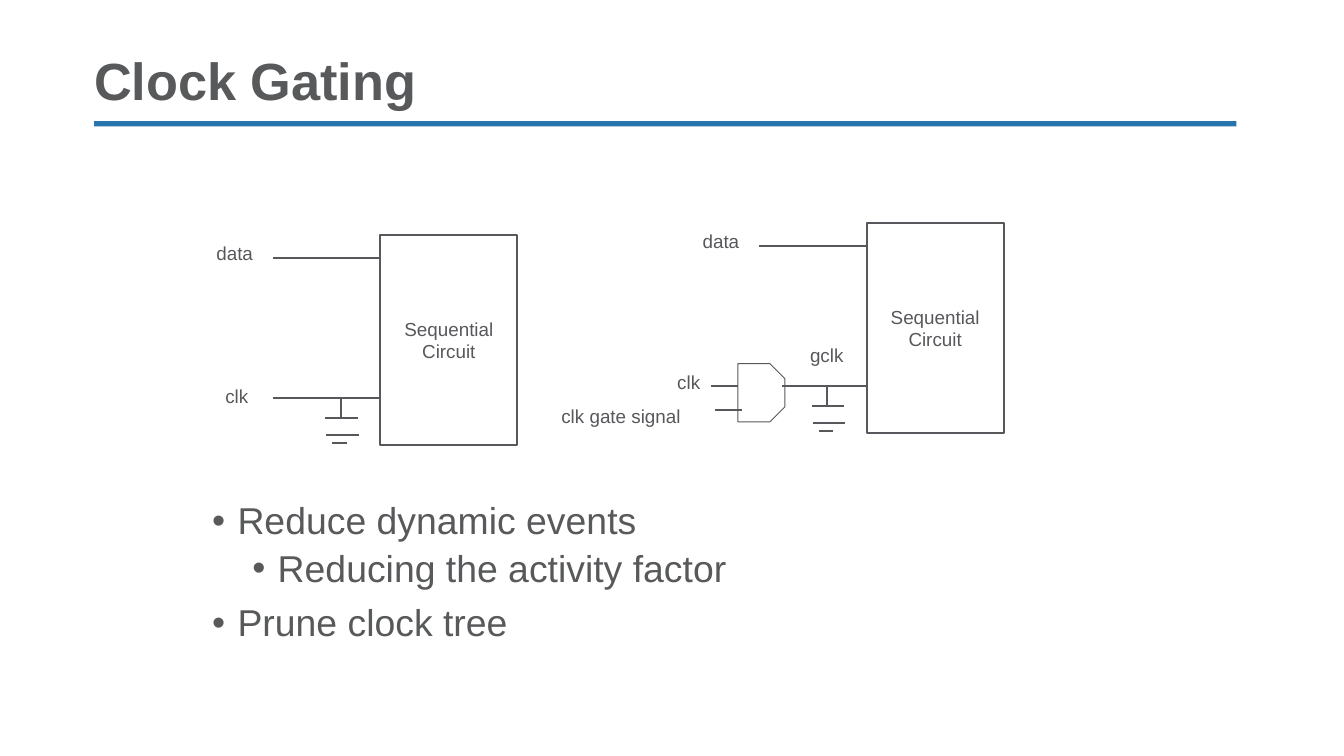
from dataclasses import dataclass

from lxml import etree
from pptx import Presentation
from pptx.dml.color import RGBColor
from pptx.enum.shapes import MSO_CONNECTOR as Link, MSO_SHAPE as Kind
from pptx.enum.text import MSO_ANCHOR as Anchor, PP_ALIGN as Align
from pptx.oxml.ns import qn
from pptx.util import Cm, Pt

GREY, INK, BLUE, WHITE = "58595B", "57585B", "2774AE", "FFFFFF"
SMALL = 10.1


@dataclass
class Wire:
    x1: float
    y1: float
    x2: float
    y2: float


@dataclass
class Label:
    text: str
    x: float
    y: float
    w: float
    wrap: bool = False


@dataclass
class Point:
    text: str
    level: int
    left: float
    before: float


@dataclass
class Block:
    x: float
    y: float
    start: float  # left end of the clock wire, from the block


# Wires shared by both circuits, measured from the block's top left corner
SHARED = [
    Wire(-2.03, 0.43, 0, 0.43),  # data
    Wire(-0.75, 3.45, -0.75, 3.07),  # ground stem
    Wire(-0.43, 3.45, -1.04, 3.45),  # ground bars
    Wire(-0.41, 3.78, -1.02, 3.78),
    Wire(-0.64, 3.92, -0.91, 3.92),
]
BLOCKS = [Block(7.19, 4.45, -2.03), Block(16.38, 4.22, -1.6)]
INPUTS = [Wire(13.44, 7.29, 13.94, 7.29), Wire(13.51, 7.75, 14.02, 7.75)]
LABELS = [
    Label("clk", 4.01, 7.14, 0.97),
    Label("clk", 12.55, 6.88, 0.97),
    Label("clk gate signal", 10.36, 7.52, 3.1, True),
    Label("gclk", 15.06, 6.38, 1.17),
]
POINTS = [
    Point("Reduce dynamic events", 0, 0.48, 0),
    Point("Reducing the activity factor", 1, 1.24, 3.8),
    Point("Prune clock tree", 0, 0.48, 7.5),
]


def color(code: str) -> RGBColor:
    return RGBColor.from_string(code)


def style(frame, size: float, code: str, bold: bool = False) -> None:
    for para in frame.paragraphs:
        for run in para.runs:
            font = run.font
            font.name, font.size, font.bold = "Arial", Pt(size), bold
            font.color.rgb = color(code)


def add_text(slide, x: float, y: float, w: float, h: float, pad: bool = True):
    frame = slide.shapes.add_textbox(Cm(x), Cm(y), Cm(w), Cm(h)).text_frame
    frame.word_wrap = True
    if not pad:
        frame.margin_left = frame.margin_right = 0
        frame.margin_top = frame.margin_bottom = 0
    return frame


def add_shape(slide, kind, x: float, y: float, w: float, h: float):
    shape = slide.shapes.add_shape(kind, Cm(x), Cm(y), Cm(w), Cm(h))
    shape.shadow.inherit = False
    return shape


def outline(shape, width: float) -> None:
    shape.line.color.rgb = color(INK)
    shape.line.width = Pt(width)


def add_wire(slide, wire: Wire, dx: float = 0, dy: float = 0) -> None:
    line = slide.shapes.add_connector(
        Link.STRAIGHT, Cm(wire.x1 + dx), Cm(wire.y1 + dy),
        Cm(wire.x2 + dx), Cm(wire.y2 + dy))
    outline(line, 1)
    etree.SubElement(line._element.spPr, qn("a:effectLst"))


def add_label(slide, label: Label) -> None:
    frame = add_text(slide, label.x, label.y, label.w, 0.69)
    frame.word_wrap = label.wrap
    frame.text = label.text
    style(frame, SMALL, INK)


def add_block(slide, block: Block) -> None:
    box = add_shape(slide, Kind.RECTANGLE, block.x, block.y, 2.59, 3.96)
    box.fill.solid()
    box.fill.fore_color.rgb = color(WHITE)
    outline(box, 1)
    frame = box.text_frame
    frame.text = "Sequential\nCircuit"
    frame.vertical_anchor = Anchor.MIDDLE
    for para in frame.paragraphs:
        para.alignment = Align.CENTER
    style(frame, SMALL, INK)
    for wire in [*SHARED, Wire(block.start, 3.07, 0, 3.07)]:
        add_wire(slide, wire, block.x, block.y)
    add_label(slide, Label("data", block.x - 3.35, block.y, 1.22))


def add_points(slide, points: list[Point]) -> None:
    frame = add_text(slide, 4.01, 9.5, 17.4, 2.74, pad=False)
    for i, point in enumerate(points):
        para = frame.add_paragraph() if i else frame.paragraphs[0]
        para.text = point.text
        para.level = point.level
        props = para._p.get_or_add_pPr()
        props.set("marL", str(Cm(point.left)))
        props.set("indent", str(Cm(-0.48)))
        etree.SubElement(props, qn("a:buFont"), typeface="Arial")
        etree.SubElement(props, qn("a:buChar"), char="•")
        para.line_spacing = 0.9
        para.space_before = Pt(point.before)
    style(frame, 20, GREY)


def main() -> None:
    deck = Presentation()
    deck.slide_width, deck.slide_height = Cm(25.4), Cm(14.29)
    slide = deck.slides.add_slide(deck.slide_layouts[6])

    # Title and rule
    rule = add_shape(slide, Kind.RECTANGLE, 1.78, 2.29, 21.59, 0.1)
    rule.fill.solid()
    rule.fill.fore_color.rgb = color(BLUE)
    rule.line.fill.background()
    title = add_text(slide, 1.78, 1.02, 21.59, 1.09, pad=False)
    title.text = "Clock Gating"
    title.vertical_anchor = Anchor.BOTTOM
    title.paragraphs[0].line_spacing = 0.9
    style(title, 28, GREY, bold=True)

    # Bullets
    add_points(slide, POINTS)

    # Circuits without and with gating
    for block in BLOCKS:
        add_block(slide, block)

    # Clock gate
    gate = add_shape(slide, Kind.SNIP_2_SAME_RECTANGLE, 13.84, 6.98, 1.1, 0.89)
    gate.rotation = 90
    gate.adjustments[0] = 0.32
    gate.adjustments[1] = 0
    gate.fill.background()
    outline(gate, 0.5)
    for wire in INPUTS:
        add_wire(slide, wire)

    # Signal names
    for label in LABELS:
        add_label(slide, label)

    deck.save("out.pptx")


if __name__ == "__main__":
    main()
